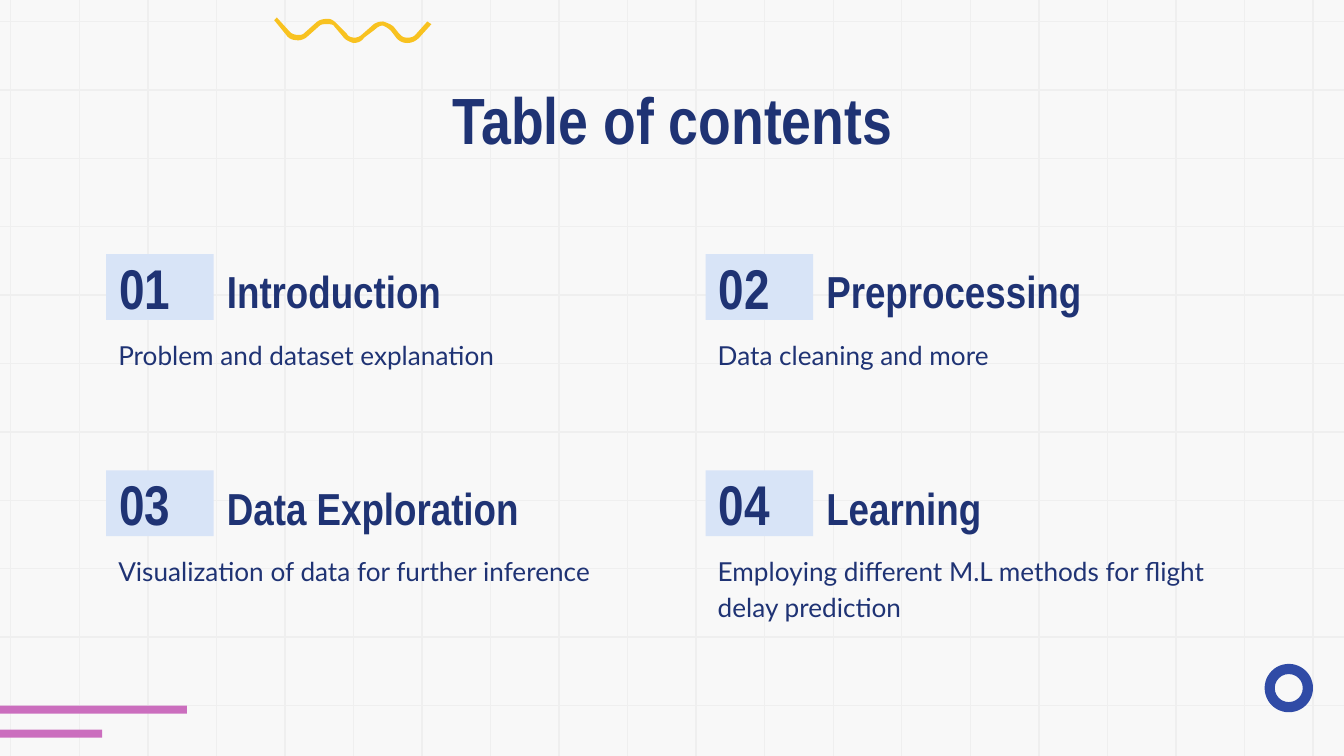
from lxml import etree
from pptx import Presentation
from pptx.dml.color import RGBColor
from pptx.enum.shapes import MSO_CONNECTOR, MSO_SHAPE
from pptx.enum.text import MSO_ANCHOR, MSO_AUTO_SIZE, PP_ALIGN
from pptx.oxml.ns import qn
from pptx.util import Inches, Pt

STRAIGHT = MSO_CONNECTOR.STRAIGHT
RECTANGLE, DONUT = MSO_SHAPE.RECTANGLE, MSO_SHAPE.DONUT
TOP, MIDDLE = MSO_ANCHOR.TOP, MSO_ANCHOR.MIDDLE
LEFT, CENTER = PP_ALIGN.LEFT, PP_ALIGN.CENTER
NO_AUTOFIT = MSO_AUTO_SIZE.NONE

WIDTH = 10
HEIGHT = WIDTH * 9 / 16
COMPARISON_LAYOUT = 4
ROWS, COLUMNS = 11, 20
ROW_GAP = (5.25 - 0.16) / (ROWS - 1)
COLUMN_GAP = (9.77 - 0.08) / (COLUMNS - 1)
HEADING_FONT, BODY_FONT = "Arial Narrow", "Lato"
COLORS = {
    "background": "F8F8F8",
    "grid": "EFEFEF",
    "navy": "1F3374",
    "tile": "D8E4F7",
    "pink": "CB6EBE",
    "blue": "304BA6",
    "yellow": "F8C220",
}

# Number, heading, description, description height
SECTIONS = [
    ("01", "Introduction", "Problem and dataset explanation", 0.4),
    ("02", "Preprocessing", "Data cleaning and more", 0.4),
    ("03", "Data Exploration", "Visualization of data for further inference", 0.4),
    ("04", "Learning", "Employing different M.L methods for flight delay prediction", 0.75),
]

# Outline of the wave: one point is a line, three points are a Bézier curve
WAVE_START = (2.06, 0.13)
WAVE = [
    [(2.04, 0.15)], [(2.13, 0.26)],
    [(2.15, 0.29), (2.18, 0.3), (2.22, 0.3)],
    [(2.24, 0.3), (2.27, 0.29), (2.29, 0.27)], [(2.38, 0.19)],
    [(2.39, 0.18), (2.41, 0.18), (2.43, 0.18)],
    [(2.46, 0.18), (2.48, 0.18), (2.49, 0.2)], [(2.55, 0.27)],
    [(2.57, 0.3), (2.6, 0.31), (2.63, 0.32)],
    [(2.66, 0.32), (2.69, 0.31), (2.71, 0.28)], [(2.79, 0.22)],
    [(2.81, 0.2), (2.83, 0.19), (2.85, 0.19)],
    [(2.87, 0.2), (2.89, 0.21), (2.91, 0.23)], [(2.94, 0.27)],
    [(2.96, 0.3), (2.99, 0.32), (3.03, 0.32)],
    [(3.06, 0.32), (3.09, 0.31), (3.12, 0.28)], [(3.21, 0.18)],
    [(3.18, 0.16)], [(3.09, 0.26)],
    [(3.07, 0.28), (3.05, 0.28), (3.03, 0.28)],
    [(3, 0.28), (2.99, 0.27), (2.97, 0.25)], [(2.93, 0.2)],
    [(2.91, 0.18), (2.88, 0.17), (2.85, 0.16)],
    [(2.82, 0.16), (2.79, 0.17), (2.77, 0.19)], [(2.69, 0.26)],
    [(2.68, 0.27), (2.66, 0.28), (2.64, 0.28)],
    [(2.61, 0.28), (2.59, 0.27), (2.58, 0.25)], [(2.51, 0.18)],
    [(2.49, 0.16), (2.47, 0.14), (2.44, 0.14)],
    [(2.4, 0.14), (2.37, 0.15), (2.35, 0.17)], [(2.26, 0.25)],
    [(2.25, 0.26), (2.23, 0.26), (2.22, 0.26)],
    [(2.19, 0.26), (2.17, 0.25), (2.16, 0.24)],
]


def color(name):
    return RGBColor.from_string(COLORS[name])


def paint(shape, fill):
    shape.shadow.inherit = False
    shape.fill.solid()
    shape.fill.fore_color.rgb = color(fill)
    shape.line.fill.background()


def add_filled_shape(page, kind, left, top, width, height, fill):
    shape = page.shapes.add_shape(
        kind, Inches(left), Inches(top), Inches(width), Inches(height))
    paint(shape, fill)
    return shape


def add_grid_line(page, x1, y1, x2, y2):
    line = page.shapes.add_connector(
        STRAIGHT, Inches(x1), Inches(y1), Inches(x2), Inches(y2))
    line.line.color.rgb = color("grid")
    line.line.width = Pt(0.75)
    etree.SubElement(line._element.spPr, qn("a:effectLst"))


def add_grid(page):
    for row in range(ROWS):
        y = 0.16 + row * ROW_GAP
        add_grid_line(page, WIDTH, y, 0, y)
    for column in range(COLUMNS):
        x = 0.08 + column * COLUMN_GAP
        add_grid_line(page, x, 0, x, HEIGHT)


def curve_points(start, first, second, end, steps=8):
    """Return points along a cubic Bézier curve, without its start."""
    points = []
    for step in range(1, steps + 1):
        t = step / steps
        u = 1 - t
        weights = (u ** 3, 3 * u * u * t, 3 * u * t * t, t ** 3)
        corners = (start, first, second, end)
        points.append(tuple(
            sum(weight * corner[axis] for weight, corner in zip(weights, corners))
            for axis in (0, 1)))
    return points


def add_wave(page):
    points = [WAVE_START]
    for segment in WAVE:
        points += segment if len(segment) == 1 else curve_points(points[-1], *segment)
    builder = page.shapes.build_freeform(
        *(Inches(value) for value in points[0]), scale=1.0)
    builder.add_line_segments([(Inches(x), Inches(y)) for x, y in points[1:]])
    paint(builder.convert_to_shape(), "yellow")


def add_decorations(page):
    add_filled_shape(page, RECTANGLE, 0, 5.25, 1.39, 0.06, "pink")
    add_filled_shape(page, RECTANGLE, 0, 5.43, 0.76, 0.06, "pink")
    ring = add_filled_shape(page, DONUT, 9.41, 4.94, 0.36, 0.36, "blue")
    ring.adjustments[0] = 0.21
    add_wave(page)


def write_text(shape, text, *, size, font=HEADING_FONT, bold=True,
               align=LEFT, anchor=MIDDLE, spacing=1.0):
    frame = shape.text_frame
    frame.word_wrap = True
    frame.auto_size = NO_AUTOFIT
    frame.vertical_anchor = anchor
    frame.margin_left = frame.margin_right = Inches(0.1)
    frame.margin_top = frame.margin_bottom = Inches(0.1)
    para = frame.paragraphs[0]
    para.alignment = align
    para.line_spacing = spacing
    para.space_before = Pt(0)
    properties = para._p.get_or_add_pPr()
    properties.set("marL", "0")
    properties.set("indent", "0")
    etree.SubElement(properties, qn("a:buNone"))
    span = para.add_run()
    span.text = text
    span.font.name = font
    span.font.size = Pt(size)
    span.font.bold = bold
    span.font.color.rgb = color("navy")


def place(placeholder, left, top, width, height):
    """Move a placeholder to its position, in front of what is drawn so far."""
    placeholder.left, placeholder.top = Inches(left), Inches(top)
    placeholder.width, placeholder.height = Inches(width), Inches(height)
    element = placeholder._element
    element.getparent().append(element)


def add_section(page, body, left, top, number, heading, description, height):
    tile = add_filled_shape(page, RECTANGLE, left, top, 0.8, 0.49, "tile")
    write_text(tile, number, size=30)
    box = page.shapes.add_textbox(
        Inches(left + 0.8), Inches(top), Inches(3.16), Inches(0.49))
    write_text(box, heading, size=24, spacing=1.15)
    place(body, left - 0.01, top + 0.5, 3.97, height)
    write_text(body, description, size=14, font=BODY_FONT, bold=False,
               anchor=TOP, spacing=1.15)


def main():
    deck = Presentation()
    deck.slide_width, deck.slide_height = Inches(WIDTH), Inches(HEIGHT)
    page = deck.slides.add_slide(deck.slide_layouts[COMPARISON_LAYOUT])
    page.background.fill.solid()
    page.background.fill.fore_color.rgb = color("background")
    title, *bodies = page.placeholders

    add_grid(page)
    add_decorations(page)
    place(title, 0.79, 0.49, 8.43, 0.63)
    write_text(title, "Table of contents", size=35, align=CENTER, anchor=TOP)
    for index, (body, section) in enumerate(zip(bodies, SECTIONS)):
        row, column = divmod(index, 2)
        add_section(page, body, 0.79 + column * 4.46, 1.89 + row * 1.61, *section)
    deck.save("out.pptx")


if __name__ == "__main__":
    main()
